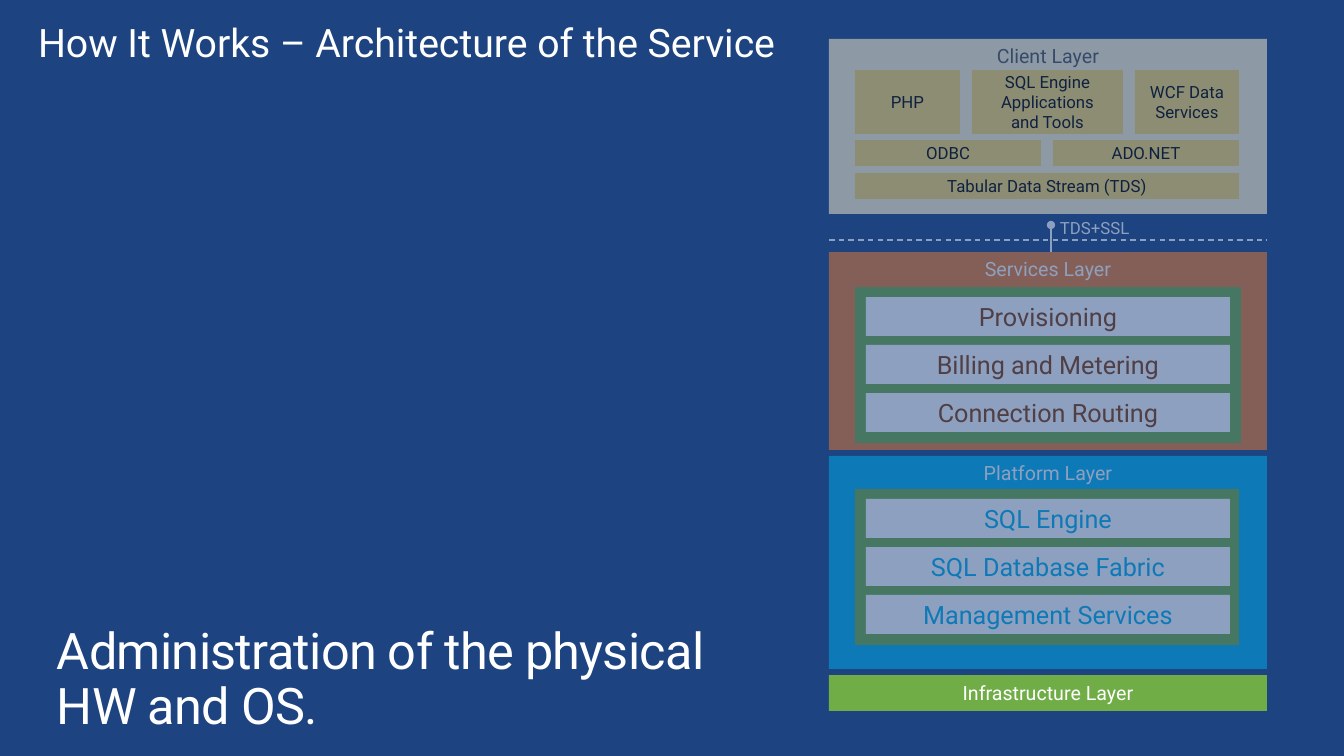
from lxml import etree
from pptx import Presentation
from pptx.dml.color import RGBColor
from pptx.enum.dml import MSO_LINE
from pptx.enum.shapes import MSO_CONNECTOR, MSO_SHAPE
from pptx.enum.text import MSO_ANCHOR, PP_ALIGN
from pptx.oxml.ns import qn
from pptx.util import Pt

SCALE = 914400 / 100.8
FONT = "Roboto"
NAVY, WHITE, GREEN = "1D4380", "FFFFFF", "70AD47"

TITLE = ("How It Works – Architecture of the Service", (0, 0, 1344, 90), 28)
MESSAGE = ("Administration of the physical HW and OS.", (57, 605, 725, 151), 36)
PROTOCOL = ("TDS+SSL", (1060, 220, 100, 18), 12)

LAYER_LEFT, LAYER_WIDTH = 829, 438
INFRASTRUCTURE = ("Infrastructure Layer", 675, 36, GREEN, WHITE)
CLIENT = ("Client Layer", 39, 175, "FFF2CC", "525252")
CLIENT_LEFT, CLIENT_GAP = 855, 12
CLIENT_ROWS = [
    (70, 64, [("PHP", 105), ("SQL Engine\nApplications\nand Tools", 151), ("WCF Data Services", 104)]),
    (140, 26, [("ODBC", 186), ("ADO.NET", 186)]),
    (173, 26, [("Tabular Data Stream (TDS)", 384)]),
]
SERVICES = {
    "layer": ("Services Layer", 252, 198, "ED7D31", WHITE),
    "frame": (855, 287, 386, 156),
    "bars": ["Provisioning", "Billing and Metering", "Connection Routing"],
    "ink": "843C0B",
}
PLATFORM = {
    "layer": ("Platform Layer", 456, 213, "00B0F0", WHITE),
    "frame": (855, 489, 384, 156),
    "bars": ["SQL Engine", "SQL Database Fabric", "Management Services"],
    "ink": "00B0F0",
}
BAR_LEFT, BAR_WIDTH, BAR_HEIGHT, BAR_PITCH, BAR_INSET = 866, 364, 39, 48, 10
BOUNDARY = (829, 240, 1267, 240)
LINK = (1051, 252, 1051, 225)
VEILS = [(824, 453, 448, 220), (823, 37, 444, 418)]


def px(value):
    return round(value * SCALE)


def color(value):
    return RGBColor.from_string(value)


def write(shape, text, size, ink, align, anchor):
    frame = shape.text_frame
    frame.word_wrap = True
    frame.vertical_anchor = anchor
    frame.text = text
    for paragraph in frame.paragraphs:
        paragraph.alignment = align
        font = paragraph.runs[0].font
        font.name, font.size = FONT, Pt(size)
        font.color.rgb = color(ink)
    return frame


def add_rect(slide, box, fill, text="", size=12, ink="000000", anchor=MSO_ANCHOR.MIDDLE):
    rect = slide.shapes.add_shape(MSO_SHAPE.RECTANGLE, *map(px, box))
    rect.shadow.inherit = False
    rect.fill.solid()
    rect.fill.fore_color.rgb = color(fill)
    rect.line.fill.background()
    if text:
        write(rect, text, size, ink, PP_ALIGN.CENTER, anchor)
    return rect


def add_layer(slide, layer, anchor=MSO_ANCHOR.TOP):
    name, top, height, fill, ink = layer
    add_rect(slide, (LAYER_LEFT, top, LAYER_WIDTH, height), fill, name, 14, ink, anchor)


def add_stack(slide, stack):
    add_layer(slide, stack["layer"])
    add_rect(slide, stack["frame"], GREEN)
    first_top = stack["frame"][1] + BAR_INSET
    for index, bar in enumerate(stack["bars"]):
        box = (BAR_LEFT, first_top + index * BAR_PITCH, BAR_WIDTH, BAR_HEIGHT)
        add_rect(slide, box, WHITE, bar, 18, stack["ink"])


def add_label(slide, content, anchor, margin=0):
    text, box, size = content
    label = slide.shapes.add_textbox(*map(px, box))
    frame = write(label, text, size, WHITE, PP_ALIGN.LEFT, anchor)
    frame.margin_left = px(margin)
    frame.margin_right = frame.margin_top = frame.margin_bottom = 0
    frame.paragraphs[0].line_spacing = 0.9
    return frame


def add_line(slide, ends):
    line = slide.shapes.add_connector(MSO_CONNECTOR.STRAIGHT, *map(px, ends))
    line.line.color.rgb = color(WHITE)
    line.line.width = Pt(1)
    etree.SubElement(line.line._get_or_add_ln().getparent(), qn("a:effectLst"))
    return line


def main():
    deck = Presentation()
    deck.slide_width, deck.slide_height = px(1344), px(756)
    slide = deck.slides.add_slide(deck.slide_layouts[6])
    slide.background.fill.solid()
    slide.background.fill.fore_color.rgb = color(NAVY)

    message = add_label(slide, MESSAGE, MSO_ANCHOR.MIDDLE)
    message.paragraphs[0].runs[0].font._element.set("spc", "-50")
    add_layer(slide, INFRASTRUCTURE, MSO_ANCHOR.MIDDLE)

    add_layer(slide, CLIENT)
    for top, height, cells in CLIENT_ROWS:
        left = CLIENT_LEFT
        for text, width in cells:
            add_rect(slide, (left, top, width, height), "FFD966", text)
            left += width + CLIENT_GAP

    add_label(slide, TITLE, MSO_ANCHOR.MIDDLE, 38)

    add_line(slide, BOUNDARY).line.dash_style = MSO_LINE.DASH
    add_stack(slide, SERVICES)
    link = add_line(slide, LINK)
    etree.SubElement(link.line._get_or_add_ln(), qn("a:tailEnd"), type="oval")
    add_label(slide, PROTOCOL, MSO_ANCHOR.TOP)
    add_stack(slide, PLATFORM)

    for box in VEILS:
        veil = add_rect(slide, box, NAVY)
        tint = veil.fill._xPr.find(qn("a:solidFill"))[0]
        etree.SubElement(tint, qn("a:alpha"), val="50000")

    deck.save("out.pptx")


if __name__ == "__main__":
    main()
